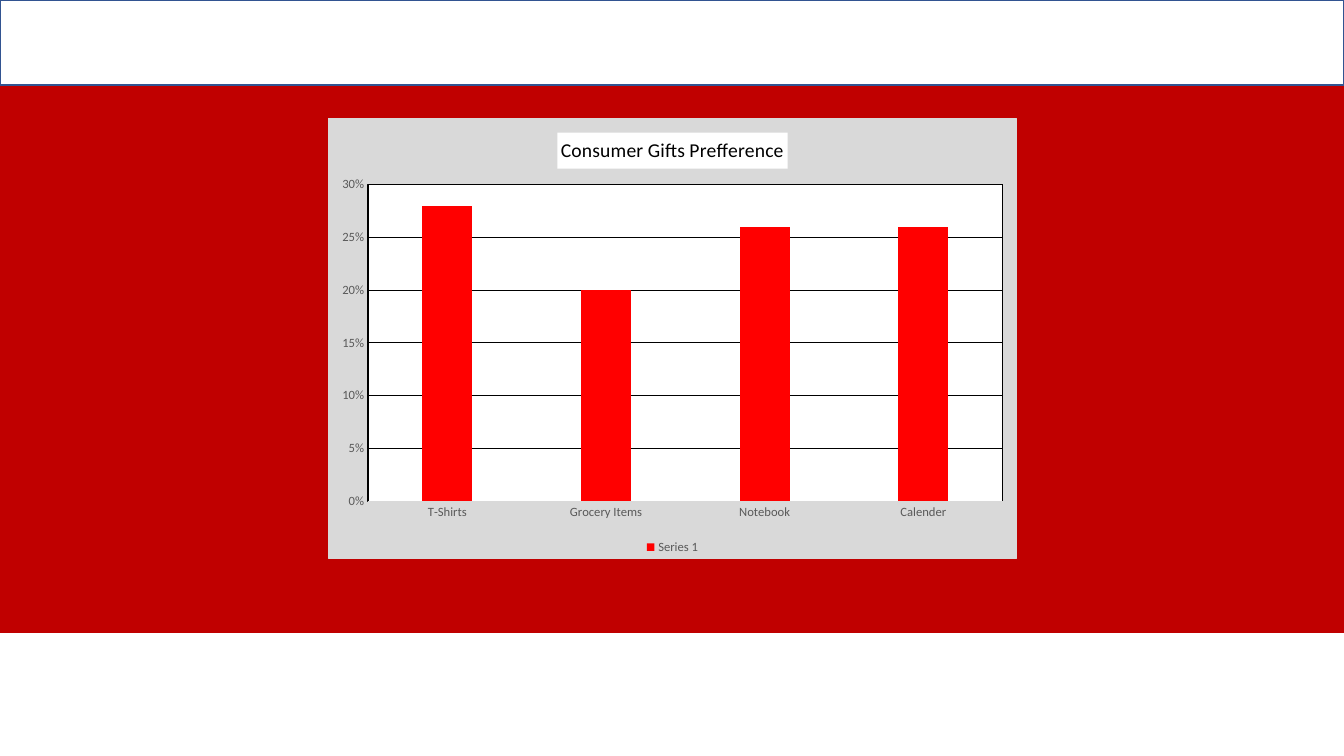
from dataclasses import dataclass

from lxml import etree
from pptx import Presentation
from pptx.chart.data import CategoryChartData
from pptx.dml.color import RGBColor
from pptx.enum.chart import XL_CHART_TYPE as ChartType
from pptx.enum.chart import XL_LEGEND_POSITION as LegendPosition
from pptx.enum.chart import XL_TICK_MARK as TickMark
from pptx.enum.shapes import MSO_SHAPE as Preset
from pptx.oxml import parse_xml
from pptx.oxml.ns import nsdecls, qn
from pptx.util import Emu, Pt

TITLE = "Consumer Gifts Prefference"
SERIES = "Series 1"
PREFERENCES = {
    "T-Shirts": 0.28,
    "Grocery Items": 0.20,
    "Notebook": 0.26,
    "Calender": 0.26,
}


@dataclass(frozen=True)
class Theme:
    font: str = "Calibri"
    band: str = "C00000"
    header: str = "FFFFFF"
    header_line: str = "325491"
    panel: str = "D9D9D9"
    plot: str = "FFFFFF"
    ink: str = "000000"
    label: str = "595959"
    column: str = "FF0000"
    title_size: int = 14
    base_size: int = 10
    label_size: int = 9
    band_line: float = 1
    chart_line: float = 0.75


THEME = Theme()
WIDTH, HEIGHT = 1344, 756
BANDS = [
    ((0, 76, WIDTH, 556), THEME.band, THEME.band),
    ((0, 0, WIDTH, 85), THEME.header, THEME.header_line),
]
CHART_BOX = (328, 118, 689, 441)


def px(length):
    return Emu(round(length * 914400 / 100.8))


def box(lengths):
    return [px(length) for length in lengths]


def rgb(color):
    return RGBColor.from_string(color)


def paint_fill(part, color):
    part.fill.solid()
    part.fill.fore_color.rgb = rgb(color)


def paint_line(line, color, width):
    line.color.rgb = rgb(color)
    line.width = Pt(width)


def set_font(font, size, color):
    font.name = THEME.font
    font.size = Pt(size)
    font.bold = False
    font.color.rgb = rgb(color)


def area_format(fill, line):
    return parse_xml(
        f'<c:spPr {nsdecls("c", "a")}>'
        f'<a:solidFill><a:srgbClr val="{fill}"/></a:solidFill>'
        f'<a:ln w="{Pt(THEME.chart_line)}"><a:solidFill>'
        f'<a:srgbClr val="{line}"/></a:solidFill></a:ln></c:spPr>'
    )


def add_band(slide, place, fill, line):
    band = slide.shapes.add_shape(Preset.RECTANGLE, *box(place))
    band.shadow.inherit = False
    paint_fill(band, fill)
    paint_line(band.line, line, THEME.band_line)


def style_title(chart):
    chart.has_title = True
    title = chart.chart_title
    title.include_in_layout = False
    paint_fill(title.format, THEME.plot)
    run = title.text_frame.paragraphs[0].add_run()
    run.text = TITLE
    set_font(run.font, THEME.title_size, THEME.ink)


def style_axes(chart):
    for axis in (chart.category_axis, chart.value_axis):
        axis.major_tick_mark = TickMark.NONE
        axis.minor_tick_mark = TickMark.NONE
        set_font(axis.tick_labels.font, THEME.label_size, THEME.label)
    paint_line(chart.category_axis.format.line, THEME.panel, THEME.chart_line)
    values = chart.value_axis
    values.minimum_scale, values.maximum_scale, values.major_unit = 0, 0.3, 0.05
    values.format.line.fill.background()
    values.has_major_gridlines = True
    paint_line(values.major_gridlines.format.line, THEME.ink, THEME.chart_line)
    values.tick_labels.number_format = "0%"
    values.tick_labels.number_format_is_linked = False


def add_preference_chart(slide):
    data = CategoryChartData(number_format="0%")
    data.categories = list(PREFERENCES)
    data.add_series(SERIES, list(PREFERENCES.values()))
    chart = slide.shapes.add_chart(
        ChartType.COLUMN_CLUSTERED, *box(CHART_BOX), data
    ).chart
    set_font(chart.font, THEME.base_size, THEME.ink)
    style_title(chart)
    style_axes(chart)
    columns = chart.plots[0]
    columns.gap_width = 219
    columns.vary_by_categories = False
    paint_fill(columns.series[0].format, THEME.column)
    chart.has_legend = True
    chart.legend.position = LegendPosition.BOTTOM
    chart.legend.include_in_layout = False
    set_font(chart.legend.font, THEME.label_size, THEME.label)
    body = chart.element.find(qn("c:chart"))
    body.find(qn("c:plotArea")).append(area_format(THEME.plot, THEME.ink))
    body.addnext(area_format(THEME.panel, THEME.panel))
    corners = chart.element.find(qn("c:roundedCorners"))
    if corners is None:
        corners = etree.Element(qn("c:roundedCorners"))
        chart.element.find(qn("c:date1904")).addnext(corners)
    corners.set("val", "0")


def main():
    deck = Presentation()
    deck.slide_width, deck.slide_height = px(WIDTH), px(HEIGHT)
    slide = deck.slides.add_slide(deck.slide_layouts[6])
    for place, fill, line in BANDS:
        add_band(slide, place, fill, line)
    add_preference_chart(slide)
    deck.save("out.pptx")


if __name__ == "__main__":
    main()
